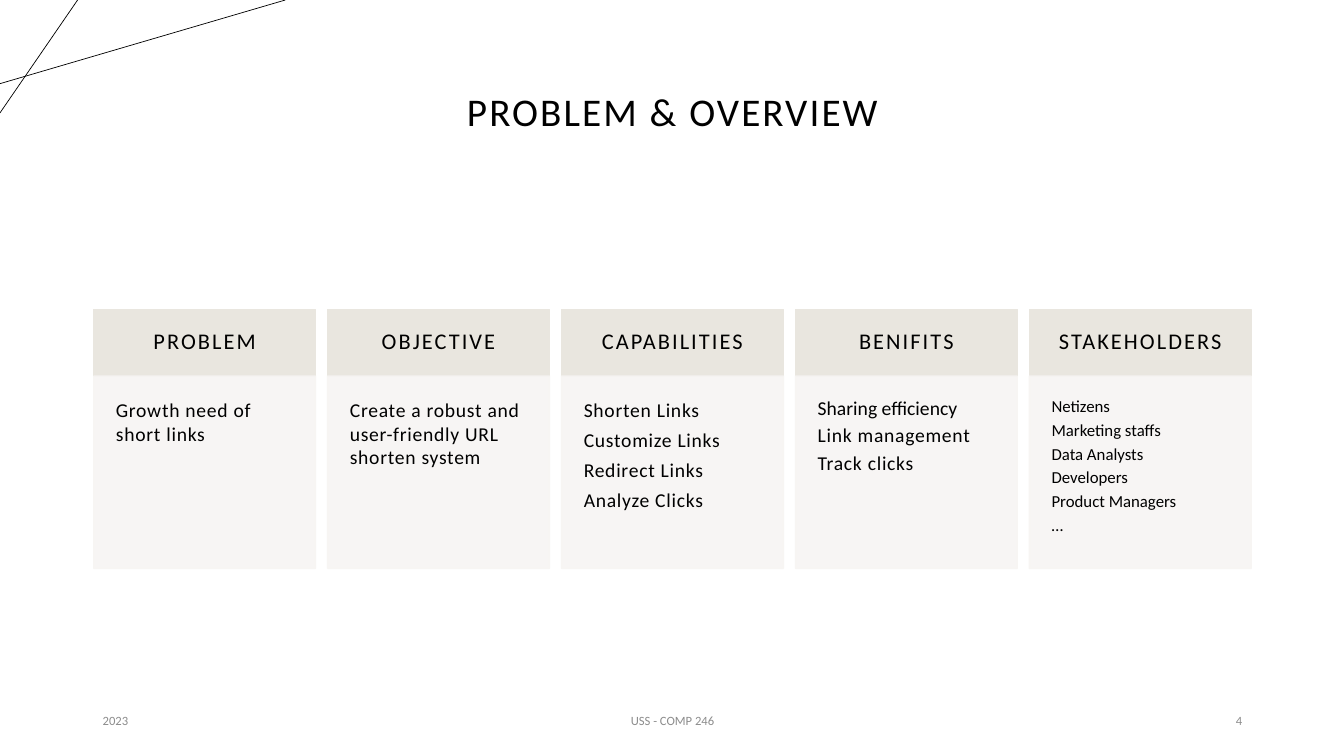
import pptx
import pptx.util
import pptx.dml.color
import pptx.enum.shapes
import pptx.enum.text
import pptx.oxml.ns
import lxml.etree
from pptx.util import Inches

BLACK = pptx.dml.color.RGBColor(0x00, 0x00, 0x00)
WHITE = pptx.dml.color.RGBColor(0xFF, 0xFF, 0xFF)
GRAY = pptx.dml.color.RGBColor(0x8C, 0x8C, 0x8C)
SAND = pptx.dml.color.RGBColor(0xE9, 0xE6, 0xDF)
PALE = pptx.dml.color.RGBColor(0xF7, 0xF5, 0xF3)

ALIGN = pptx.enum.text.PP_ALIGN
ANCHOR = pptx.enum.text.MSO_ANCHOR
FONT = "Calibri"

COLUMNS = [
    ("PROBLEM", 14, 1.0, [("Growth need of short links", 0.5)]),
    ("OBJECTIVE", 14, 1.0,
     [("Create a robust and user-friendly URL shorten system", 0.5)]),
    ("CAPABILITIES", 14, 1.0,
     [("Shorten Links", 0.5), ("Customize Links", 0.5),
      ("Redirect Links", 0.5), ("Analyze Clicks", 0.5)]),
    ("BENIFITS", 14, 0.9,
     [("Sharing efficiency", 0), ("Link management", 0.5), ("Track clicks", 0.5)]),
    ("STAKEHOLDERS", 12, 0.9,
     [("Netizens", 0), ("Marketing staffs", 0), ("Data Analysts", 0),
      ("Developers", 0), ("Product Managers", 0), ("…", 0)]),
]


def format_para(para, size, color=BLACK, align=ALIGN.LEFT, tracking=0,
                line_spacing=1.0, after=0):
    para.alignment = align
    para.line_spacing = line_spacing
    para.space_before = pptx.util.Pt(0)
    para.space_after = pptx.util.Pt(after)
    for span in para.runs:
        span.font.name = FONT
        span.font.size = pptx.util.Pt(size)
        span.font.color.rgb = color
        if tracking:
            span._r.get_or_add_rPr().set("spc", str(round(tracking * 100)))


def set_frame(frame, anchor, inset=None):
    frame.word_wrap = True
    frame.vertical_anchor = anchor
    if inset is not None:
        frame.margin_left = frame.margin_right = Inches(inset)
        frame.margin_top = frame.margin_bottom = Inches(inset)


def add_panel(page, left, top, width, height, color, opacity=100):
    panel = page.shapes.add_shape(
        pptx.enum.shapes.MSO_SHAPE.RECTANGLE,
        Inches(left), Inches(top), Inches(width), Inches(height))
    panel.shadow.inherit = False
    panel.fill.solid()
    panel.fill.fore_color.rgb = color
    panel.line.color.rgb = color
    panel.line.width = pptx.util.Pt(1)
    if opacity < 100:
        tag = pptx.oxml.ns.qn("a:srgbClr")
        for paint in panel._element.spPr.iter(tag):
            alpha = lxml.etree.SubElement(paint, pptx.oxml.ns.qn("a:alpha"))
            alpha.set("val", str(opacity * 1000))
    return panel


def add_corner_lines(page, left, top):
    for x1, y1, x2, y2 in [(0, 0.83, 2.83, 0), (0.77, 0, 0, 1.12)]:
        line = page.shapes.add_connector(
            pptx.enum.shapes.MSO_CONNECTOR.STRAIGHT,
            Inches(left + x1), Inches(top + y1),
            Inches(left + x2), Inches(top + y2))
        line.line.color.rgb = BLACK
        line.line.width = pptx.util.Pt(0.5)
        lxml.etree.SubElement(line._element.spPr, pptx.oxml.ns.qn("a:effectLst"))


def place_title(page, left, top, width, height):
    title = page.shapes.title
    title.left, title.top = Inches(left), Inches(top)
    title.width, title.height = Inches(width), Inches(height)
    title.text_frame.text = "PROBLEM & OVERVIEW"
    set_frame(title.text_frame, ANCHOR.MIDDLE)
    format_para(title.text_frame.paragraphs[0], 28, align=ALIGN.CENTER,
                tracking=1.5, line_spacing=0.9)


def add_column(page, left, top, width, height, column):
    heading, size, line_spacing, items = column
    head_height = 0.66

    head = add_panel(page, left, top, width, head_height, SAND)
    head.text_frame.text = heading
    set_frame(head.text_frame, ANCHOR.MIDDLE, 0.17)
    format_para(head.text_frame.paragraphs[0], 16, align=ALIGN.CENTER,
                tracking=1.5, line_spacing=0.9)

    body = add_panel(page, left, top + head_height, width,
                     height - head_height, PALE, 90)
    body.text_frame.text = "\n".join(text for text, _ in items)
    set_frame(body.text_frame, ANCHOR.TOP, 0.22)
    for para, (_, tracking) in zip(body.text_frame.paragraphs, items):
        format_para(para, size, tracking=tracking,
                    line_spacing=line_spacing, after=round(size * 0.33, 1))


def add_columns(page, left, top, width, height):
    gap = 0.12
    column_width = (width - gap * (len(COLUMNS) - 1)) / len(COLUMNS)
    for index, column in enumerate(COLUMNS):
        add_column(page, left + index * (column_width + gap), top,
                   column_width, height, column)


def add_footer(page, left, top, width, height):
    side, middle = 3, 4.5
    parts = [
        ("2023", left, side, ALIGN.LEFT),
        ("USS - COMP 246", left + (width - middle) / 2, middle, ALIGN.CENTER),
        ("4", left + width - side, side, ALIGN.RIGHT),
    ]
    for text, x, part_width, align in parts:
        box = page.shapes.add_textbox(
            Inches(x), Inches(top), Inches(part_width), Inches(height))
        box.text_frame.text = text
        set_frame(box.text_frame, ANCHOR.MIDDLE)
        format_para(box.text_frame.paragraphs[0], 9, GRAY, align)


def main():
    deck = pptx.Presentation()
    deck.slide_width, deck.slide_height = Inches(13.33), Inches(7.5)
    page = deck.slides.add_slide(deck.slide_layouts.get_by_name("Title Only"))
    page.background.fill.solid()
    page.background.fill.fore_color.rgb = WHITE
    add_corner_lines(page, 0, 0)
    place_title(page, 0.92, 0.4, 11.5, 1.45)
    add_columns(page, 0.93, 3.07, 11.48, 2.57)
    add_footer(page, 0.92, 6.95, 11.5, 0.4)
    deck.save("out.pptx")


if __name__ == "__main__":
    main()
